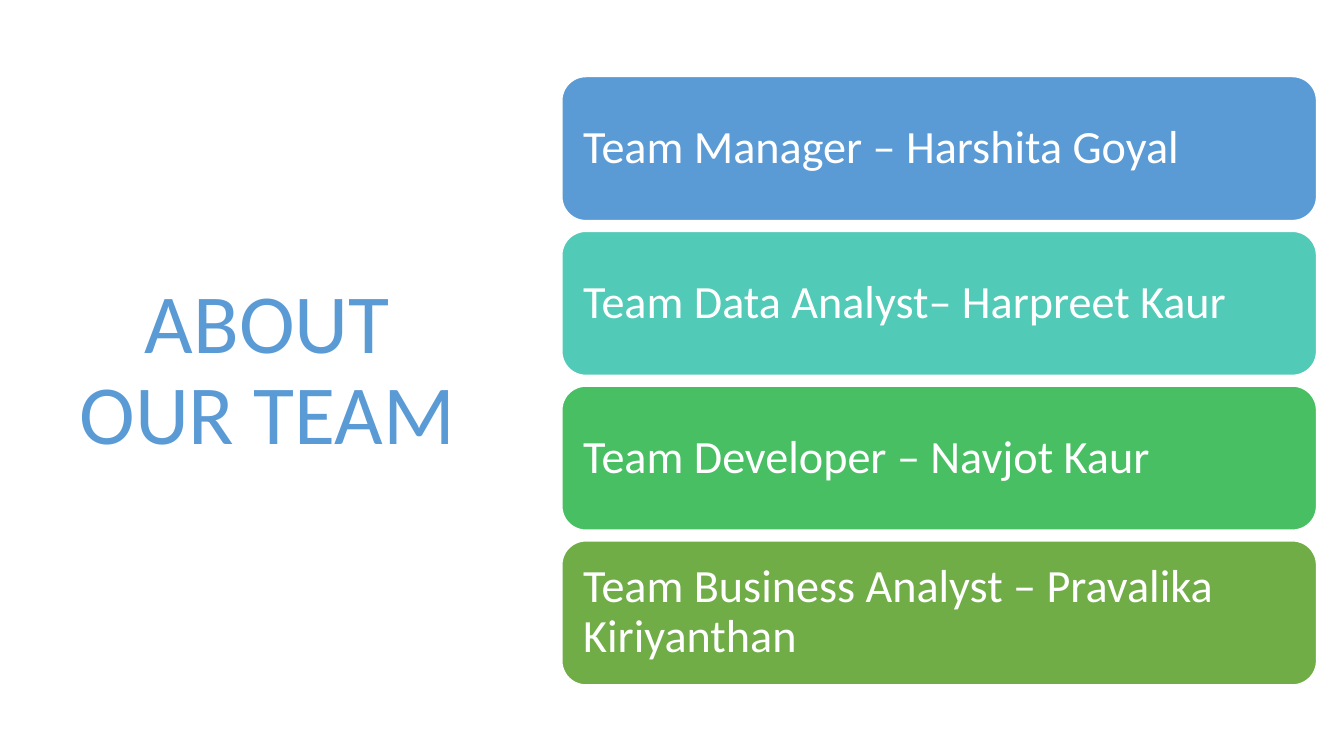
from pptx import Presentation
from pptx.dml.color import RGBColor
from pptx.enum.shapes import MSO_SHAPE
from pptx.enum.text import MSO_ANCHOR, MSO_AUTO_SIZE, PP_ALIGN
from pptx.util import Cm, Pt

ROUNDED = MSO_SHAPE.ROUNDED_RECTANGLE
MIDDLE = MSO_ANCHOR.MIDDLE
LEFT, CENTER = PP_ALIGN.LEFT, PP_ALIGN.CENTER
NO_AUTOFIT = MSO_AUTO_SIZE.NONE

BLUE = RGBColor(0x5B, 0x9B, 0xD5)
TEAL = RGBColor(0x52, 0xCA, 0xB8)
GREEN = RGBColor(0x49, 0xBF, 0x64)
OLIVE = RGBColor(0x70, 0xAD, 0x47)
WHITE = RGBColor(0xFF, 0xFF, 0xFF)
FONT = "Calibri"

# Content
HEADING = "ABOUT OUR TEAM"
MEMBERS = [
    ("Team Manager – Harshita Goyal", BLUE),
    ("Team Data Analyst– Harpreet Kaur", TEAL),
    ("Team Developer – Navjot Kaur", GREEN),
    ("Team Business Analyst – Pravalika Kiriyanthan", OLIVE),
]

# Layout of the member cards
CARD_LEFT, CARDS_TOP = Cm(14.16), Cm(1.93)
CARD_WIDTH, CARD_HEIGHT = Cm(19.02), Cm(3.63)
CARD_PITCH = Cm(3.9)
CARD_INSET = Cm(0.36)


def write(frame, text, size, color, align):
    frame.auto_size = NO_AUTOFIT
    frame.word_wrap = True
    frame.vertical_anchor = MIDDLE
    paragraph = frame.paragraphs[0]
    paragraph.text = text
    paragraph.alignment = align
    paragraph.line_spacing = 0.9
    paragraph.font.name = FONT
    paragraph.font.size = Pt(size)
    paragraph.font.color.rgb = color


presentation = Presentation()
presentation.slide_width, presentation.slide_height = Cm(33.87), Cm(19.05)
slide = presentation.slides.add_slide(presentation.slide_layouts[5])

# Heading
heading = slide.shapes.title
heading.left, heading.top = Cm(1.45), Cm(1.73)
heading.width, heading.height = Cm(10.57), Cm(15.29)
write(heading.text_frame, HEADING, 60, BLUE, CENTER)

# Member cards
for row, (member, color) in enumerate(MEMBERS):
    card = slide.shapes.add_shape(
        ROUNDED, CARD_LEFT, CARDS_TOP + row * CARD_PITCH, CARD_WIDTH, CARD_HEIGHT)
    card.shadow.inherit = False
    card.fill.solid()
    card.fill.fore_color.rgb = color
    card.line.color.rgb = WHITE
    card.line.width = Pt(1)
    frame = card.text_frame
    frame.margin_left = frame.margin_right = CARD_INSET
    frame.margin_top = frame.margin_bottom = CARD_INSET
    write(frame, member, 33, WHITE, LEFT)

presentation.save("out.pptx")
